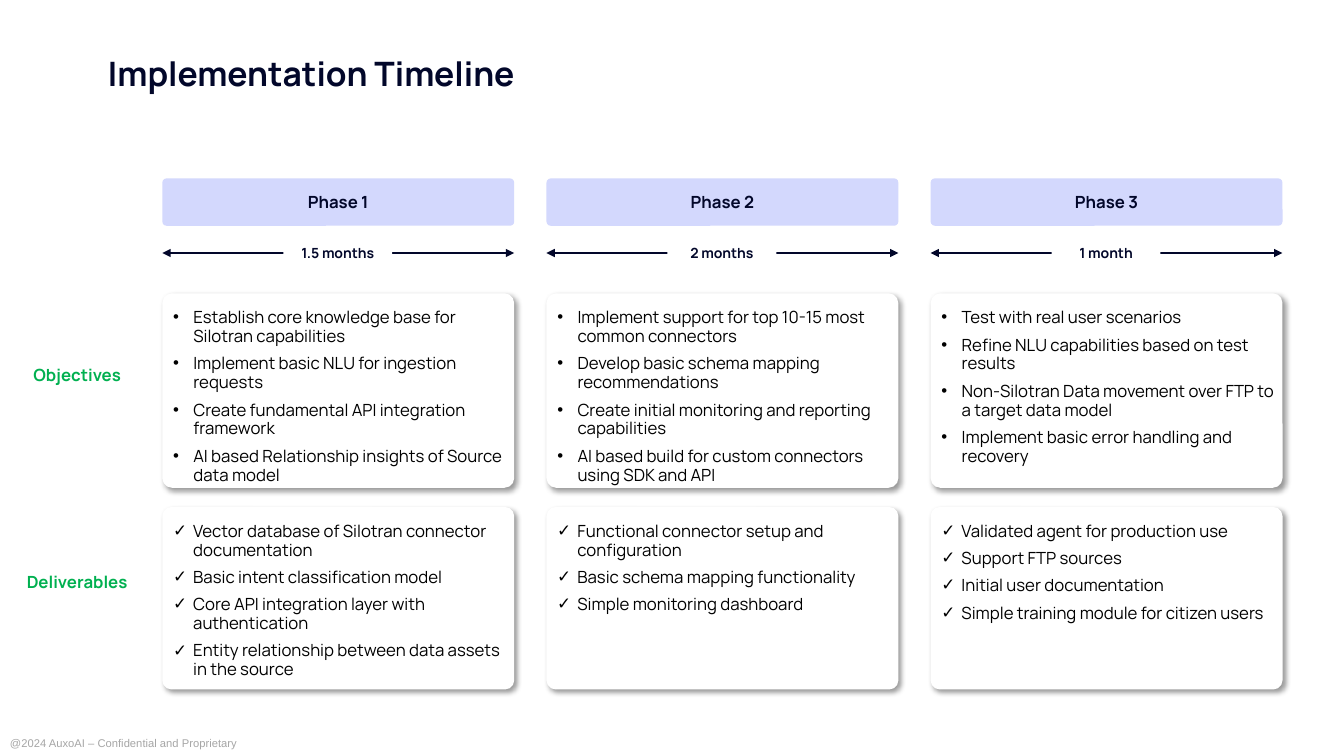
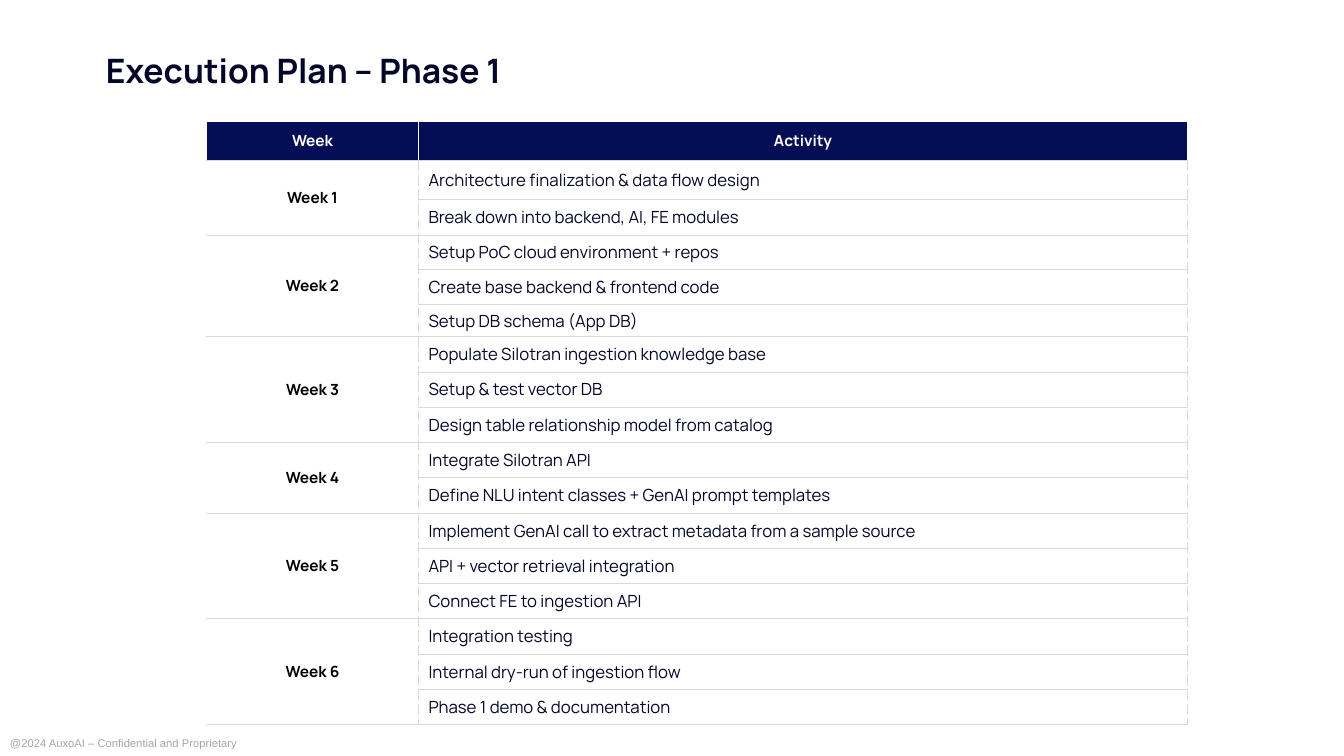
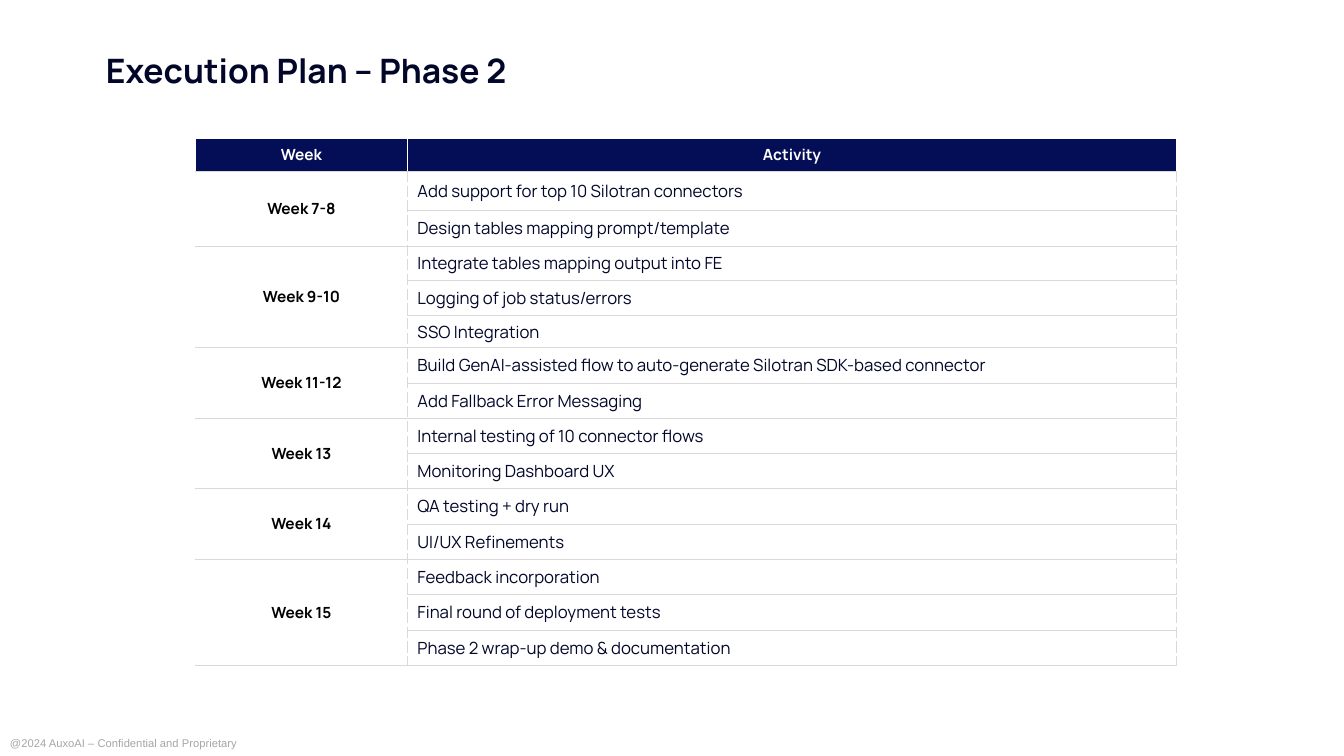
from lxml.etree import SubElement
from pptx import Presentation
from pptx.dml.color import RGBColor
from pptx.enum.shapes import MSO_CONNECTOR, MSO_SHAPE
from pptx.enum.text import MSO_ANCHOR, MSO_AUTO_SIZE, PP_ALIGN
from pptx.oxml.ns import qn
from pptx.util import Pt

SCALE = 9144
NAVY, INK, LAVENDER, GREEN = "040E56", "02072A", "D3D8FD", "00B050"
WHITE, BLACK, GRID, MUTED = "FFFFFF", "000000", "D9D9D9", "A6A6A6"
SOLID, DASHED, WHITE_EDGE = (GRID, 0.5, "solid"), (GRID, 0.75, "lgDash"), (WHITE, 0.75, "solid")

COLUMN_LEFT, COLUMN_WIDTH, COLUMN_STEP = 161, 349, 381
DURATION_WIDTH = 108

PHASES = [
    ("Phase 1", "1.5 months",
     ["Establish core knowledge base for Silotran capabilities",
      "Implement basic NLU for ingestion requests",
      "Create fundamental API integration framework",
      "AI based Relationship insights of Source data model"],
     ["Vector database of Silotran connector documentation",
      "Basic intent classification model",
      "Core API integration layer with authentication",
      "Entity relationship between data assets in the source"]),
    ("Phase 2", "2 months",
     ["Implement support for top 10-15 most common connectors",
      "Develop basic schema mapping recommendations",
      "Create initial monitoring and reporting capabilities",
      "AI based build for custom connectors using SDK and API"],
     ["Functional connector setup and configuration",
      "Basic schema mapping functionality",
      "Simple monitoring dashboard"]),
    ("Phase 3", "1 month",
     ["Test with real user scenarios",
      "Refine NLU capabilities based on test results",
      "Non-Silotran Data movement over FTP to a target data model",
      "Implement basic error handling and recovery"],
     ["Validated agent for production use",
      "Support FTP sources",
      "Initial user documentation",
      "Simple training module for citizen users"]),
]

PHASE_1_WEEKS = [
    ("Week 1", ["Architecture finalization & data flow design",
                "Break down into backend, AI, FE modules"]),
    ("Week 2", ["Setup PoC cloud environment + repos",
                "Create base backend & frontend code",
                "Setup DB schema (App DB)"]),
    ("Week 3", ["Populate Silotran ingestion knowledge base",
                "Setup & test vector DB",
                "Design table relationship model from catalog"]),
    ("Week 4", ["Integrate Silotran API",
                "Define NLU intent classes + GenAI prompt templates"]),
    ("Week 5", ["Implement GenAI call to extract metadata from a sample source",
                "API + vector retrieval integration",
                "Connect FE to ingestion API"]),
    ("Week 6", ["Integration testing",
                "Internal dry-run of ingestion flow",
                "Phase 1 demo & documentation"]),
]

PHASE_2_WEEKS = [
    ("Week 7-8", ["Add support for top 10 Silotran connectors",
                  "Design tables mapping prompt/template"]),
    ("Week 9-10", ["Integrate tables mapping output into FE",
                   "Logging of job status/errors",
                   "SSO Integration"]),
    ("Week 11-12", ["Build GenAI-assisted flow to auto-generate Silotran SDK-based connector",
                    "Add Fallback Error Messaging"]),
    ("Week 13", ["Internal testing of 10 connector flows",
                 "Monitoring Dashboard UX"]),
    ("Week 14", ["QA testing + dry run",
                 "UI/UX Refinements"]),
    ("Week 15", ["Feedback incorporation",
                 "Final round of deployment tests",
                 "Phase 2 wrap-up demo & documentation"]),
]


def px(*lengths):
    return [length * SCALE for length in lengths]


def color(value):
    return RGBColor.from_string(value)


class Deck:
    """Holds the shared style and the slide being built."""

    def __init__(self):
        self.presentation = Presentation()
        self.presentation.slide_width, self.presentation.slide_height = px(1333, 750)
        self.slide = None

    def new_slide(self, title, box):
        self.slide = self.presentation.slides.add_slide(self.presentation.slide_layouts[5])
        self.text("@2024 AuxoAI – Confidential and Proprietary", (0, 726, 345, 24),
                  8, MUTED, False, PP_ALIGN.LEFT, "Arial")
        shape = self.slide.shapes.title
        shape.left, shape.top, shape.width, shape.height = px(*box)
        frame = shape.text_frame
        frame.text = title
        frame.auto_size = MSO_AUTO_SIZE.NONE
        frame.vertical_anchor = MSO_ANCHOR.MIDDLE
        frame.paragraphs[0].line_spacing = 0.9
        self.style(frame, 24, INK, True)

    def style(self, frame, size, ink, bold, align=PP_ALIGN.LEFT, font="Manrope"):
        for paragraph in frame.paragraphs:
            paragraph.alignment = align
            for run in paragraph.runs:
                run.font.name, run.font.size, run.font.bold = font, Pt(size), bold
                run.font.color.rgb = color(ink)

    def text(self, words, box, size, ink, bold=True, align=PP_ALIGN.CENTER, font="Manrope"):
        frame = self.slide.shapes.add_textbox(*px(*box)).text_frame
        frame.word_wrap = True
        frame.text = words
        self.style(frame, size, ink, bold, align, font)

    def shape(self, kind, box, fill, rounding=None):
        shape = self.slide.shapes.add_shape(kind, *px(*box))
        shape.shadow.inherit = False
        shape.fill.solid()
        shape.fill.fore_color.rgb = color(fill)
        shape.line.fill.background()
        if rounding is not None:
            shape.adjustments[0] = rounding
        shape.text_frame.word_wrap = True
        return shape

    def label(self, words, kind, box, fill, size, rounding=None):
        frame = self.shape(kind, box, fill, rounding).text_frame
        frame.margin_left = frame.margin_right = 0
        frame.margin_top = frame.margin_bottom = px(4)[0]
        frame.vertical_anchor = MSO_ANCHOR.MIDDLE
        frame.text = words
        self.style(frame, size, INK, True, PP_ALIGN.CENTER)

    def double_arrow(self, left, right, top):
        connector = self.slide.shapes.add_connector(
            MSO_CONNECTOR.STRAIGHT, *px(left, top, right, top))
        connector.line.color.rgb = color(INK)
        connector.line.width = Pt(1)
        properties = connector.element.spPr
        line = properties.find(qn("a:ln"))
        for end in ("a:headEnd", "a:tailEnd"):
            SubElement(line, qn(end), type="triangle")
        SubElement(properties, qn("a:effectLst"))

    def card(self, items, bullet, box):
        shape = self.shape(MSO_SHAPE.ROUNDED_RECTANGLE, box, WHITE, 0.05)
        effects = shape.element.spPr.find(qn("a:effectLst"))
        shadow = SubElement(effects, qn("a:outerShdw"), blurRad=str(Pt(4)), dist=str(Pt(3)),
                            dir=str(45 * 60000), algn="tl", rotWithShape="0")
        shade = SubElement(shadow, qn("a:srgbClr"), val=BLACK)
        SubElement(shade, qn("a:alpha"), val="40000")
        frame = shape.text_frame
        frame.margin_left, frame.margin_top, frame.margin_right, frame.margin_bottom = px(8, 12, 0, 4)
        frame.vertical_anchor = MSO_ANCHOR.TOP
        frame.text = "\n".join(items)
        indent = px(20)[0]
        for paragraph in frame.paragraphs:
            properties = paragraph._p.get_or_add_pPr()
            properties.set("marL", str(indent))
            properties.set("indent", str(-indent))
            SubElement(properties, qn("a:buFont"), typeface="Arial")
            SubElement(properties, qn("a:buChar"), char=bullet)
            paragraph.line_spacing = Pt(13.5)
            paragraph.space_after = Pt(6)
        self.style(frame, 12, BLACK, False)

    def cell(self, cell, words, size, ink, bold, align, fill, **edges):
        properties = cell._tc.get_or_add_tcPr()
        for side in "LRTB":
            if side in edges:
                ink_edge, width, dash = edges[side]
                line = SubElement(properties, qn("a:ln" + side), w=str(Pt(width)))
                paint = SubElement(line, qn("a:solidFill"))
                SubElement(paint, qn("a:srgbClr"), val=ink_edge)
                SubElement(line, qn("a:prstDash"), val=dash)
        cell.fill.solid()
        cell.fill.fore_color.rgb = color(fill)
        cell.vertical_anchor = MSO_ANCHOR.MIDDLE
        cell.text_frame.text = words
        self.style(cell.text_frame, size, ink, bold, align)

    def week_table(self, weeks, left, top, header_height):
        count = 1 + sum(len(activities) for _, activities in weeks)
        heights = [header_height, 39, 35, 34, 35, 32] + [35] * (count - 6)
        table = self.slide.shapes.add_table(
            count, 2, *px(left, top, 973, sum(heights))).table
        table.horz_banding = table.first_row = False
        for column, width in zip(table.columns, px(210, 763)):
            column.width = width
        for row, height in zip(table.rows, px(*heights)):
            row.height = height
        header = (11, WHITE, True, PP_ALIGN.CENTER, NAVY)
        self.cell(table.cell(0, 0), "Week", *header, R=WHITE_EDGE, B=SOLID)
        self.cell(table.cell(0, 1), "Activity", *header, L=WHITE_EDGE, R=WHITE_EDGE, B=SOLID)
        first = 1
        for week, activities in weeks:
            last = first + len(activities) - 1
            for row, activity in enumerate(activities, first):
                self.cell(table.cell(row, 0), week if row == first else "", 11, BLACK, True,
                          PP_ALIGN.CENTER, WHITE, R=DASHED, T=SOLID, B=SOLID)
                self.cell(table.cell(row, 1), activity, 12, INK, False,
                          PP_ALIGN.LEFT, WHITE, L=DASHED, R=DASHED, T=SOLID, B=SOLID)
            table.cell(first, 0).merge(table.cell(last, 0))
            first = last + 1


def main():
    deck = Deck()

    deck.new_slide("Implementation Timeline", (97, 33, 1209, 85))
    for index, (phase, duration, objectives, deliverables) in enumerate(PHASES):
        left = COLUMN_LEFT + index * COLUMN_STEP
        deck.label(phase, MSO_SHAPE.ROUNDED_RECTANGLE, (left, 177, COLUMN_WIDTH, 47),
                   LAVENDER, 12, 0.09)
        deck.double_arrow(left, left + COLUMN_WIDTH, 251)
        duration_left = left + (COLUMN_WIDTH - DURATION_WIDTH) // 2
        deck.label(duration, MSO_SHAPE.RECTANGLE, (duration_left, 236, DURATION_WIDTH, 29),
                   WHITE, 10)
        deck.card(objectives, "•", (left, 291, COLUMN_WIDTH, 193))
        deck.card(deliverables, "✓", (left, 503, COLUMN_WIDTH, 181))
    for words, top in (("Objectives", 357), ("Deliverables", 562)):
        deck.text(words, (7, top, 139, 30), 12, GREEN)

    plan_title = (95, 41, 1150, 62)
    deck.new_slide("Execution Plan – Phase 1", plan_title)
    deck.week_table(PHASE_1_WEEKS, 205, 120, 39)

    deck.new_slide("Execution Plan – Phase 2", plan_title)
    deck.week_table(PHASE_2_WEEKS, 194, 137, 33)

    deck.presentation.save("out.pptx")


if __name__ == "__main__":
    main()
